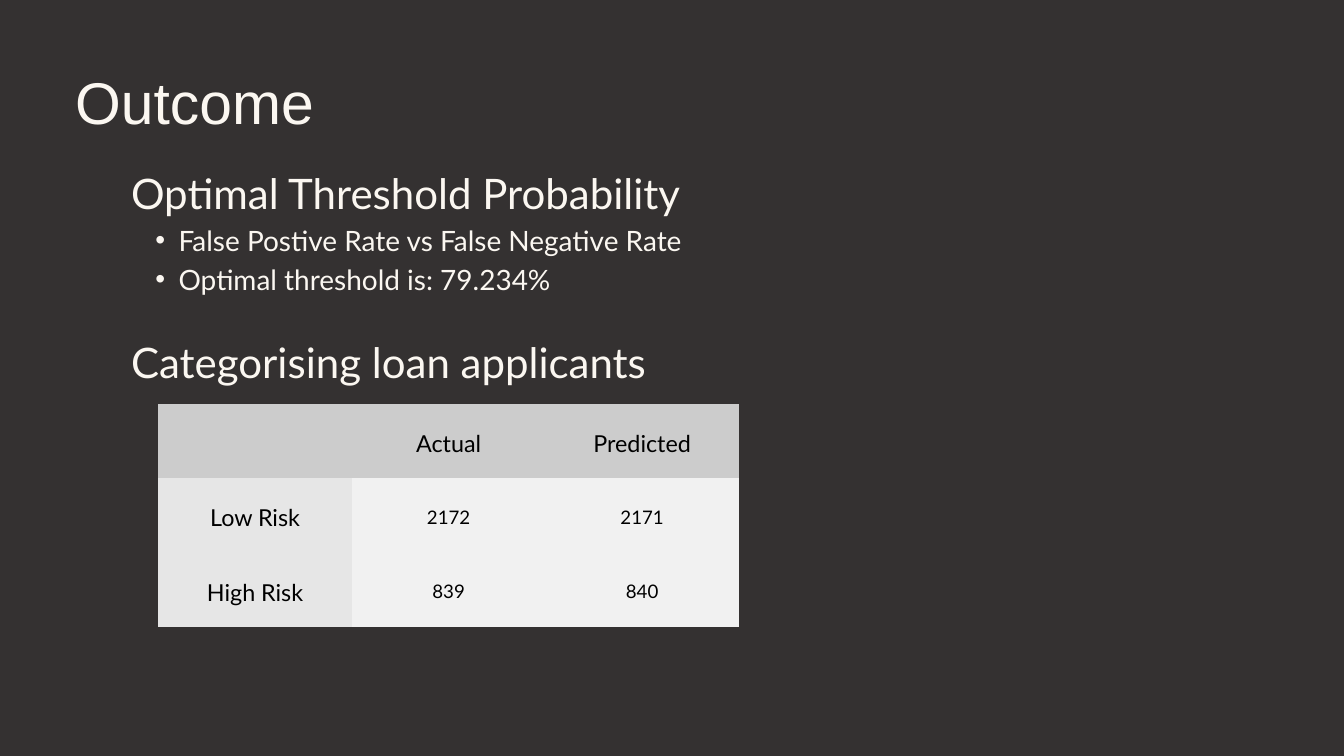
from lxml.etree import SubElement
from pptx import Presentation
from pptx.dml.color import RGBColor
from pptx.enum.text import MSO_ANCHOR as Anchor, MSO_AUTO_SIZE as AutoSize, PP_ALIGN as Align
from pptx.oxml.ns import qn
from pptx.util import Pt

CREAM = "FBF7F1"
RISK_ROWS = [
    ["", "Actual", "Predicted"],
    ["Low Risk", "2172", "2171"],
    ["High Risk", "839", "840"],
]


def colour(value):
    return RGBColor.from_string(value)


def write(para, text, size, leading, font="Lato", ink=CREAM, align=Align.LEFT):
    para.alignment = align
    para.line_spacing = Pt(leading)
    para.space_before = para.space_after = Pt(0)
    span = para.add_run()
    span.text = text
    span.font.name = font
    span.font.size = Pt(size)
    span.font.bold = False
    span.font.color.rgb = colour(ink)


def set_bullet(para, char=None, margin=0, indent=0):
    properties = para._p.get_or_add_pPr()
    properties.set("marL", str(Pt(margin)))
    properties.set("indent", str(Pt(indent)))
    if char:
        SubElement(properties, qn("a:buFont"), typeface="Arial")
        SubElement(properties, qn("a:buChar"), char=char)
    else:
        SubElement(properties, qn("a:buNone"))


def place(holder, left, top, width, height):
    holder.left, holder.top = Pt(left), Pt(top)
    holder.width, holder.height = Pt(width), Pt(height)
    frame = holder.text_frame
    frame.margin_left = frame.margin_right = frame.margin_top = frame.margin_bottom = 0
    frame.vertical_anchor = Anchor.TOP
    frame.word_wrap = True
    frame.auto_size = AutoSize.NONE
    return frame


def fill_title(holder, box, text):
    frame = place(holder, *box)
    write(frame.paragraphs[0], text, 63, 75.6, font="Arial")


def fill_section(holder, box, heading, points=()):
    frame = place(holder, *box)
    para = frame.paragraphs[0]
    set_bullet(para)
    write(para, heading, 45, 63)
    for point in points:
        para = frame.add_paragraph()
        para.level = 1
        set_bullet(para, "•", 51, -25)
        write(para, point, 30, 42)


def clear_borders(cell):
    properties = cell._tc.get_or_add_tcPr()
    for side in ("lnL", "lnR", "lnT", "lnB"):
        SubElement(SubElement(properties, qn(f"a:{side}"), w="0"), qn("a:noFill"))


def add_risk_table(page, box, rows):
    left, top, width, height = map(Pt, box)
    table = page.shapes.add_table(len(rows), len(rows[0]), left, top, width, height).table
    table.horz_banding = False
    for row, values in enumerate(rows):
        for column, value in enumerate(values):
            cell = table.cell(row, column)
            clear_borders(cell)
            shade = "CCCCCC" if row == 0 else "E6E6E6" if column == 0 else "F1F1F1"
            cell.fill.solid()
            cell.fill.fore_color.rgb = colour(shade)
            cell.vertical_anchor = Anchor.MIDDLE
            cell.margin_left = cell.margin_right = Pt(15)
            cell.margin_top = cell.margin_bottom = Pt(15)
            if value:
                size = 20 if row and column else 25
                write(cell.text_frame.paragraphs[0], value, size, size * 1.4,
                      ink="000000", align=Align.CENTER)


def build_outcome(deck):
    page = deck.slides.add_slide(deck.slide_layouts.get_by_name("Two Content"))
    page.background.fill.solid()
    page.background.fill.fore_color.rgb = colour("343131")
    title, threshold, applicants = page.placeholders
    fill_title(title, (80.6, 70, 995, 86.4), "Outcome")
    fill_section(threshold, (140.4, 170, 813, 145.4), "Optimal Threshold Probability",
                 ["False Postive Rate vs False Negative Rate", "Optimal threshold is: 79.234%"])
    fill_section(applicants, (140.4, 352, 701, 60), "Categorising loan applicants")
    add_risk_table(page, (169.6, 432.7, 622.2, 239.1), RISK_ROWS)


def main():
    deck = Presentation()
    deck.slide_width, deck.slide_height = Pt(1440), Pt(810)
    build_outcome(deck)
    deck.save("out.pptx")


if __name__ == "__main__":
    main()
